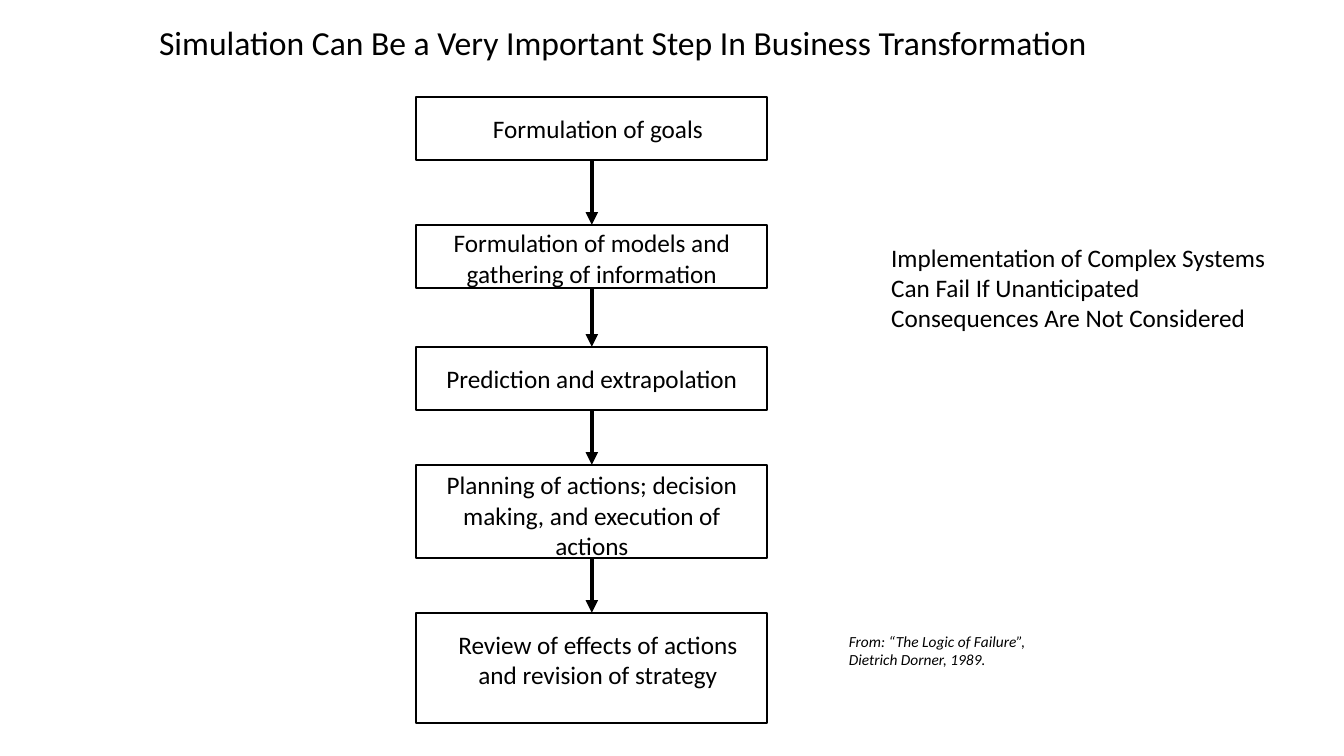
"""Build a slide with a five-step flow chart and two side notes."""
from lxml import etree
from pptx import Presentation
from pptx import util as u
from pptx.dml.color import RGBColor
from pptx.enum import shapes, text
from pptx.oxml.ns import qn

PX = 9144
COLORS = {"ink": "000000", "paper": "FFFFFF"}
INK, PAPER = (RGBColor.from_string(COLORS[c]) for c in ("ink", "paper"))
CENTER, LEFT = text.PP_ALIGN.CENTER, text.PP_ALIGN.LEFT


def px(*lengths):
    return [u.Emu(n * PX) for n in lengths]


def write(sp, words, size, align, margins=(10, 5, 10, 5), italic=False):
    tf = sp.text_frame
    sides = ("margin_left", "margin_top", "margin_right", "margin_bottom")
    frame = dict(zip(sides, px(*margins)), word_wrap=True,
                 auto_size=text.MSO_AUTO_SIZE.NONE,
                 vertical_anchor=text.MSO_ANCHOR.TOP)
    for name, value in frame.items():
        setattr(tf, name, value)
    p = tf.paragraphs[0]
    p.alignment = align
    r = p.add_run()
    r.text = words
    font = {"name": "Calibri", "size": u.Pt(size), "italic": italic}
    for name, value in font.items():
        setattr(r.font, name, value)
    r.font.color.rgb = INK


prs = Presentation()
prs.slide_width, prs.slide_height = px(1333, 750)
s = prs.slides.add_slide(prs.slide_layouts[5])

title = s.shapes.title
title.left, title.top, title.width, title.height = px(79, 17, 1085, 50)
write(title, "Simulation Can Be a Very Important Step In Business Transformation ", 24, CENTER)

STEPS = [
    (96, 63, "Formulation of goals", (23, 16, 11, 0)),
    (223, 63, "Formulation of models and gathering of information", (17, 3, 17, 0)),
    (344, 63, "Prediction and extrapolation", (17, 16, 17, 0)),
    (461, 93, "Planning of actions; decision making, and execution of actions", (17, 5, 17, 0)),
    (608, 109, "Review of effects of actions and revision of strategy", (23, 16, 11, 0)),
]
boxes = []
for top, height, words, margins in STEPS:
    sp = s.shapes.add_shape(shapes.MSO_SHAPE.RECTANGLE, *px(413, top, 348, height))
    sp.shadow.inherit = False
    sp.fill.solid()
    sp.fill.fore_color.rgb = PAPER
    sp.line.color.rgb = INK
    sp.line.width = u.Pt(1.5)
    write(sp, words, 18, CENTER, margins)
    boxes.append(sp)

for upper, lower in zip(boxes, boxes[1:]):
    arrow = s.shapes.add_connector(shapes.MSO_CONNECTOR.STRAIGHT, 0, 0, 0, 0)
    arrow.begin_connect(upper, 2)
    arrow.end_connect(lower, 0)
    arrow.line.color.rgb = INK
    arrow.line.width = u.Pt(3)
    etree.SubElement(arrow.line._get_or_add_ln(), qn("a:tailEnd"), type="triangle")
    etree.SubElement(arrow._element.spPr, qn("a:effectLst"))

NOTES = [
    ((832, 622, 241, 47), "From: “The Logic of Failure”, Dietrich Dorner, 1989.", 11, True),
    ((874, 235, 398, 101), "Implementation of Complex Systems Can Fail If Unanticipated "
     "Consequences Are Not Considered", 18, False),
]
for place, words, size, italic in NOTES:
    write(s.shapes.add_textbox(*px(*place)), words, size, LEFT, italic=italic)

prs.save("out.pptx")
